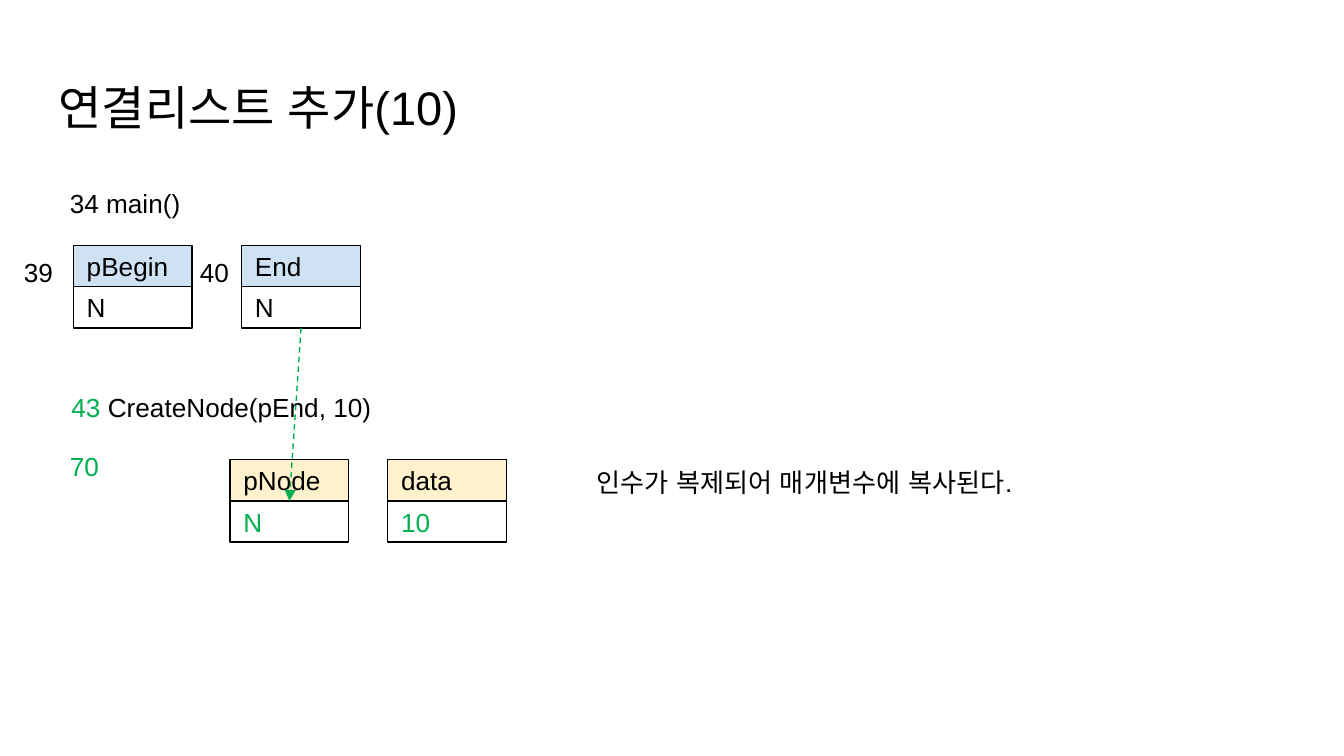
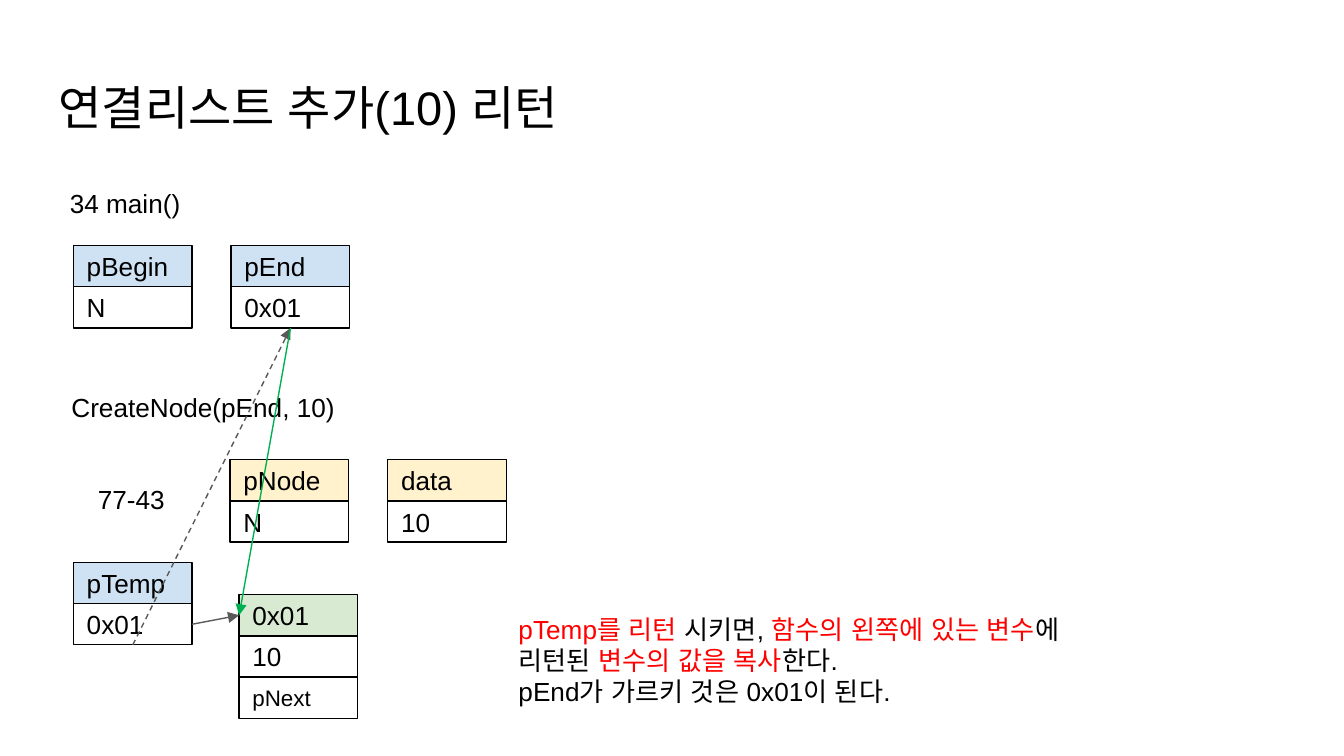
"""Build two slides that trace how a node is added to a linked list."""
import pptx
import pptx.dml.color
import pptx.enum.dml
import pptx.enum.shapes
import pptx.enum.text
import pptx.oxml
import pptx.oxml.ns
import pptx.util

Cm = pptx.util.Cm
Pt = pptx.util.Pt
RGBColor = pptx.dml.color.RGBColor
Anchor = pptx.enum.text.MSO_ANCHOR
AutoSize = pptx.enum.text.MSO_AUTO_SIZE
qn = pptx.oxml.ns.qn

BLACK = RGBColor(0x00, 0x00, 0x00)
WHITE = RGBColor(0xFF, 0xFF, 0xFF)
GREEN = RGBColor(0x00, 0xB0, 0x50)
RED = RGBColor(0xFF, 0x00, 0x00)
GRAY = RGBColor(0x59, 0x59, 0x59)
POINTER_BLUE = RGBColor(0xCF, 0xE2, 0xF3)
PARAMETER_YELLOW = RGBColor(0xFF, 0xF2, 0xCC)
NODE_GREEN = RGBColor(0xD9, 0xEA, 0xD3)

FONT = "Arial"
BODY_SIZE = 14
CELL_WIDTH, CELL_HEIGHT = 2.24, 0.78
LINE_WIDTH = 0.75
VARIABLE_LEFT, VARIABLE_TOP = 1.39, 4.64
PARAMETER_TOP = 8.69
MARGINS = ("margin_left", "margin_right", "margin_top", "margin_bottom")
EVEN_INSETS = {margin: Cm(0.25) for margin in MARGINS}
THIN_INSETS = EVEN_INSETS | {"margin_top": Cm(0.13), "margin_bottom": Cm(0.13)}


def apply(target, values):
    for attribute, value in values.items():
        setattr(target, attribute, value)


class Deck:
    """Holds the deck style and draws on the current slide."""

    def __init__(self):
        self.presentation = pptx.Presentation()
        apply(self.presentation, {"slide_width": Cm(25.4), "slide_height": Cm(14.29)})
        self.slide = None

    def start(self, title):
        self.slide = self.presentation.slides.add_slide(self.presentation.slide_layouts[6])
        self.text(0.86, 1.24, 23.67, 1.6, title, size=25.2)

    def words(self, paragraph, content, size, color):
        run = paragraph.add_run()
        run.text = content
        apply(run.font, {"name": FONT, "size": Pt(size)})
        run.font.color.rgb = color
        properties = run.font._element
        properties.append(properties.makeelement(qn("a:ea"), {"typeface": FONT}))

    def text(self, left, top, width, height, content, color=BLACK, size=BODY_SIZE,
             insets=EVEN_INSETS):
        """Fill a box with a string, or with lines that are lists of (text, color) runs."""
        box = self.slide.shapes.add_textbox(Cm(left), Cm(top), Cm(width), Cm(height))
        apply(box.text_frame, {"word_wrap": True, "auto_size": AutoSize.NONE} | insets)
        lines = [[(content, color)]] if isinstance(content, str) else content
        paragraph = box.text_frame.paragraphs[0]
        for number, line in enumerate(lines):
            if number:
                paragraph.add_line_break()
            for phrase, phrase_color in line:
                self.words(paragraph, phrase, size, phrase_color)

    def stack(self, left, top, fill, *rows, color=BLACK, last_size=BODY_SIZE):
        """Draw a filled head cell over white value cells and return the cells."""
        group = self.slide.shapes.add_group_shape()
        cells = []
        for index, content in enumerate(rows):
            cell = group.shapes.add_shape(
                pptx.enum.shapes.MSO_SHAPE.RECTANGLE, Cm(left), Cm(top + index * CELL_HEIGHT),
                Cm(CELL_WIDTH), Cm(CELL_HEIGHT))
            cell.shadow.inherit = False
            cell.fill.solid()
            cell.fill.fore_color.rgb = WHITE if index else fill
            cell.line.color.rgb = BLACK
            cell.line.width = Pt(LINE_WIDTH)
            apply(cell.text_frame, {"word_wrap": True, "vertical_anchor": Anchor.MIDDLE}
                  | EVEN_INSETS)
            paragraph = cell.text_frame.paragraphs[0]
            paragraph.alignment = pptx.enum.text.PP_ALIGN.LEFT
            size = last_size if index == len(rows) - 1 else BODY_SIZE
            self.words(paragraph, content, size, color if index else BLACK)
            cells.append(cell)
        return cells

    def arrow(self, source, source_side, target, target_side, color, dashed=False):
        link = self.slide.shapes.add_connector(
            pptx.enum.shapes.MSO_CONNECTOR.STRAIGHT, 0, 0, 0, 0)
        link.begin_connect(source, source_side)
        link.end_connect(target, target_side)
        link.line.color.rgb = color
        link.line.width = Pt(LINE_WIDTH)
        if dashed:
            link.line.dash_style = pptx.enum.dml.MSO_LINE.DASH
        properties = link._element.spPr
        outline = properties.find(qn("a:ln"))
        outline.append(outline.makeelement(qn("a:tailEnd"), {"type": "triangle"}))
        properties.append(properties.makeelement(qn("a:effectLst"), {}))

    def memory(self, title, end_left, end_rows, call, value_color=BLACK):
        """Draw the variables of both functions; return the end and pNode values."""
        self.start(title)
        self.text(1.07, 3.3, 13.94, 1.12, "34 main()")
        self.stack(VARIABLE_LEFT, VARIABLE_TOP, POINTER_BLUE, "pBegin", "N")
        end = self.stack(end_left, VARIABLE_TOP, POINTER_BLUE, *end_rows)
        self.text(1.1, 7.14, 13.94, 1.12, [call])
        node = self.stack(4.35, PARAMETER_TOP, PARAMETER_YELLOW, "pNode", "N", color=value_color)
        self.stack(7.33, PARAMETER_TOP, PARAMETER_YELLOW, "data", "10", color=value_color)
        return end[-1], node[-1]


def build_call(deck):
    call = [("43 ", GREEN), ("CreateNode(pEnd, 10)", BLACK)]
    end_value, node_value = deck.memory("연결리스트 추가(10)", 4.57, ("End", "N"), call, GREEN)
    deck.arrow(end_value, 2, node_value, 0, GREEN, dashed=True)
    for left, line_number in ((0.2, "39"), (3.53, "40")):
        deck.text(left, 4.6, 1.07, 1.12, line_number)
    deck.text(1.07, 8.26, 1.52, 1.12, "70", GREEN)
    deck.text(11.02, PARAMETER_TOP, 10.46, 0.86, "인수가 복제되어 매개변수에 복사된다.",
              insets=THIN_INSETS)


def build_return(deck):
    call = [("CreateNode(pEnd, 10)", BLACK)]
    end_value, _ = deck.memory("연결리스트 추가(10) 리턴", 4.37, ("pEnd", "0x01"), call)
    temp_value = deck.stack(VARIABLE_LEFT, 10.63, POINTER_BLUE, "pTemp", "0x01")[-1]
    address = deck.stack(4.52, 11.24, NODE_GREEN, "0x01", "10", "pNext", last_size=12)[0]
    deck.arrow(temp_value, 3, address, 1, GRAY)
    deck.arrow(temp_value, 2, end_value, 2, GRAY, dashed=True)
    deck.arrow(end_value, 2, address, 1, GREEN)
    deck.text(1.6, 8.89, 2.24, 1.12, "77-43")
    explanation = [
        [("pTemp를 리턴 ", RED), ("시키면, ", BLACK), ("함수의 왼쪽에 있는 변수", RED),
         ("에", BLACK)],
        [("리턴된 ", BLACK), ("변수의 값을 복사", RED), ("한다.", BLACK)],
        [("pEnd가 가르키 것은 0x01이 된다.", BLACK)],
    ]
    deck.text(9.55, 11.46, 14.96, 2.06, explanation, insets=THIN_INSETS)


def main():
    deck = Deck()
    build_call(deck)
    build_return(deck)
    deck.presentation.save("out.pptx")


if __name__ == "__main__":
    main()
